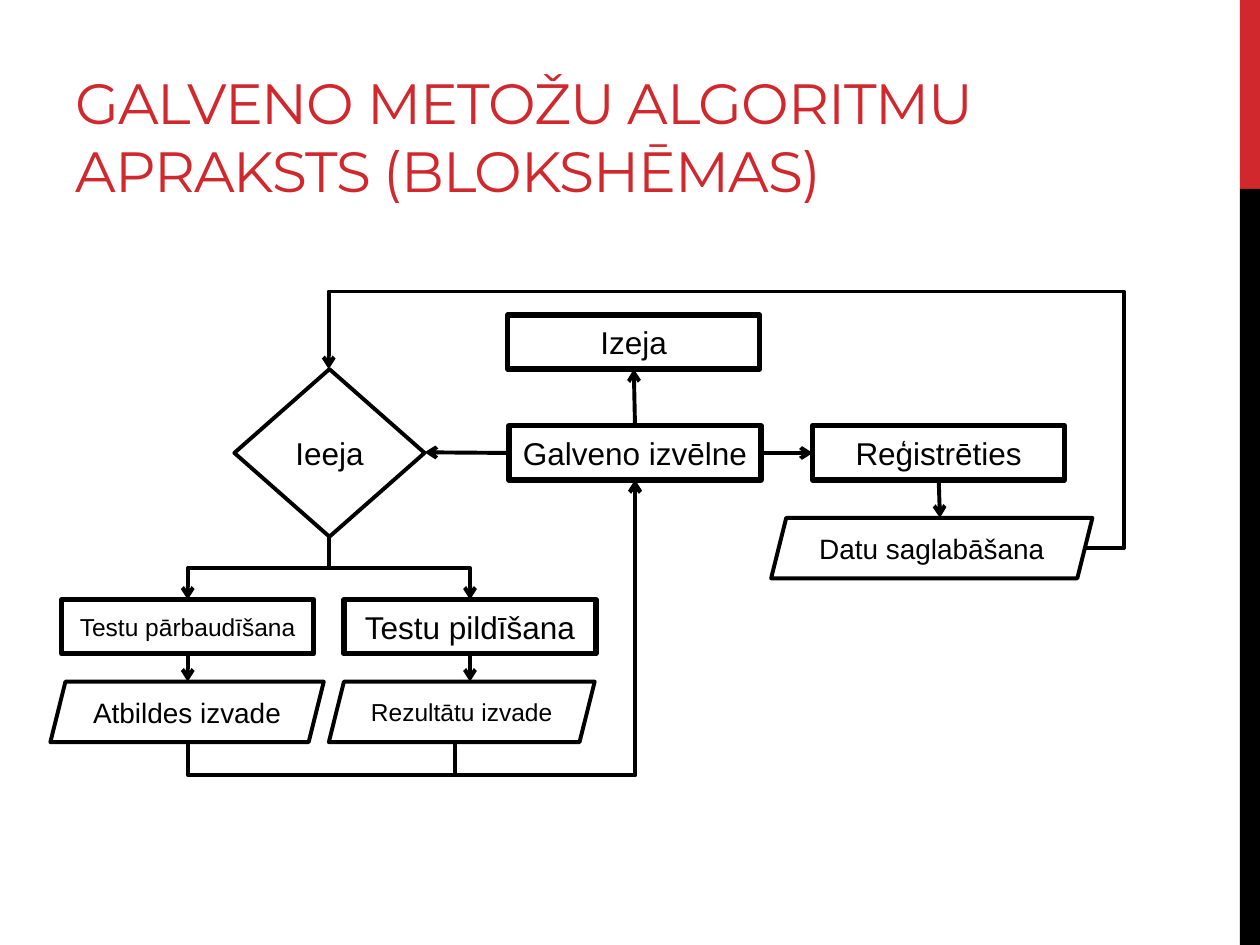
from dataclasses import dataclass

from lxml import etree
from pptx import Presentation
from pptx.dml.color import RGBColor
from pptx.enum.shapes import MSO_CONNECTOR, MSO_SHAPE
from pptx.enum.text import MSO_ANCHOR, MSO_AUTO_SIZE, PP_ALIGN
from pptx.oxml.ns import qn
from pptx.util import Inches, Pt

RECTANGLE = MSO_SHAPE.RECTANGLE
DIAMOND = MSO_SHAPE.DIAMOND
PARALLELOGRAM = MSO_SHAPE.PARALLELOGRAM
STRAIGHT = MSO_CONNECTOR.STRAIGHT
ELBOW = MSO_CONNECTOR.ELBOW
TOP, LEFT, BOTTOM, RIGHT = range(4)


@dataclass(frozen=True)
class Theme:
    red: RGBColor = RGBColor(0xD1, 0x28, 0x2E)
    black: RGBColor = RGBColor(0, 0, 0)
    white: RGBColor = RGBColor(0xFF, 0xFF, 0xFF)
    title_font: str = "Montserrat"
    body_font: str = "Arial"
    title_size: float = 32.4
    large: int = 18
    medium: int = 16
    small: int = 14
    thick: float = 3
    thin: float = 2.25


theme = Theme()
deck = Presentation()
deck.slide_width, deck.slide_height = Inches(10), Inches(7.5)
page = deck.slides.add_slide(deck.slide_layouts[5])


def add_box(kind, left, top, width, height, fill):
    box = page.shapes.add_shape(kind, Inches(left), Inches(top), Inches(width), Inches(height))
    box.shadow.inherit = False
    box.fill.solid()
    box.fill.fore_color.rgb = fill
    return box


def add_arrow(kind, start, end):
    arrow = page.shapes.add_connector(kind, *[Inches(value) for value in (*start, *end)])
    arrow.line.color.rgb = theme.black
    arrow.line.width = Pt(theme.thin)
    properties = arrow._element.spPr
    etree.SubElement(properties.find(qn("a:ln")), qn("a:tailEnd"), type="arrow")
    etree.SubElement(properties, qn("a:effectLst"))
    return arrow


for top, height, color in [(0, 1.5, theme.red), (1.5, 6, theme.black)]:
    add_box(RECTANGLE, 9.84, top, 0.16, height, color).line.fill.background()

title = page.shapes.title
title.left, title.top, title.width, title.height = [Inches(v) for v in (0.5, 0.17, 8.67, 1.5)]
frame = title.text_frame
frame.text = "GALVENO METOŽU ALGORITMU APRAKSTS (BLOKSHĒMAS)"
frame.word_wrap = True
frame.auto_size = MSO_AUTO_SIZE.NONE
frame.vertical_anchor = MSO_ANCHOR.BOTTOM
para = frame.paragraphs[0]
para.alignment = PP_ALIGN.LEFT
para.font.name = theme.title_font
para.font.size = Pt(theme.title_size)
para.font.color.rgb = theme.red
para.runs[0].font._element.set("spc", "-60")

nodes = {}
for text, kind, left, top, width, height, size in [
    ("Galveno izvēlne", RECTANGLE, 4.04, 3.38, 2, 0.43, theme.large),
    ("Izeja", RECTANGLE, 4.03, 2.5, 2, 0.43, theme.large),
    ("Reģistrēties", RECTANGLE, 6.45, 3.38, 2, 0.43, theme.large),
    ("Testu pildīšana", RECTANGLE, 2.73, 4.76, 2, 0.43, theme.large),
    ("Testu pārbaudīšana", RECTANGLE, 0.49, 4.76, 2, 0.43, theme.small),
    ("Ieeja", DIAMOND, 1.86, 2.93, 1.51, 1.33, theme.large),
    ("Datu saglabāšana", PARALLELOGRAM, 6.12, 4.11, 2.55, 0.48, theme.medium),
    ("Rezultātu izvade", PARALLELOGRAM, 2.61, 5.41, 2.11, 0.48, theme.small),
    ("Atbildes izvade", PARALLELOGRAM, 0.4, 5.41, 2.17, 0.48, theme.medium),
]:
    box = add_box(kind, left, top, width, height, theme.white)
    box.line.color.rgb = theme.black
    box.line.width = Pt(theme.thick if kind == RECTANGLE else theme.thin)
    frame = box.text_frame
    frame.text = text
    frame.word_wrap = True
    frame.vertical_anchor = MSO_ANCHOR.MIDDLE
    frame.margin_left = frame.margin_right = Inches(0.05)
    para = frame.paragraphs[0]
    para.alignment = PP_ALIGN.CENTER
    para.font.name = theme.body_font
    para.font.size = Pt(size)
    para.font.color.rgb = theme.black
    nodes[text] = box

for source, source_side, target, target_side, start, end in [
    ("Galveno izvēlne", TOP, "Izeja", BOTTOM, (5.04, 3.38), (5.03, 2.93)),
    ("Galveno izvēlne", LEFT, None, None, (4.04, 3.59), (3.37, 3.59)),
    ("Galveno izvēlne", RIGHT, "Reģistrēties", LEFT, (6.04, 3.59), (6.45, 3.59)),
    ("Reģistrēties", BOTTOM, None, None, (7.45, 3.81), (7.46, 4.11)),
    ("Testu pildīšana", BOTTOM, None, None, (3.73, 5.19), (3.73, 5.41)),
    ("Testu pārbaudīšana", BOTTOM, None, None, (1.49, 5.19), (1.49, 5.41)),
]:
    arrow = add_arrow(STRAIGHT, start, end)
    arrow.begin_connect(nodes[source], source_side)
    if target:
        arrow.end_connect(nodes[target], target_side)

for start, end, preset, rotation, flips, adjustments in [
    ((8.61, 4.35), (2.61, 2.93), "bentConnector4", 0, ("flipH", "flipV"), (-5200, 143400)),
    ((2.61, 4.26), (3.73, 4.76), "bentConnector3", 270, ("flipH",), (50000,)),
    ((2.61, 4.26), (1.49, 4.76), "bentConnector3", 90, (), (50000,)),
    ((3.61, 5.9), (5.04, 3.81), "bentConnector3", 90, ("flipH", "flipV"), (-12000,)),
    ((1.49, 5.9), (5.04, 3.81), "bentConnector3", 90, ("flipH", "flipV"), (-12000,)),
]:
    arrow = add_arrow(ELBOW, start, end)
    width, height = abs(end[0] - start[0]), abs(end[1] - start[1])
    if rotation:
        width, height = height, width
    arrow.left = Inches((start[0] + end[0] - width) / 2)
    arrow.top = Inches((start[1] + end[1] - height) / 2)
    arrow.width, arrow.height = Inches(width), Inches(height)
    transform = arrow._element.spPr.find(qn("a:xfrm"))
    transform.set("rot", str(rotation * 60000))
    for flip in ("flipH", "flipV"):
        transform.set(flip, "1" if flip in flips else "0")
    geometry = arrow._element.spPr.find(qn("a:prstGeom"))
    geometry.set("prst", preset)
    guides = geometry.find(qn("a:avLst"))
    for number, value in enumerate(adjustments, 1):
        etree.SubElement(guides, qn("a:gd"), name=f"adj{number}", fmla=f"val {value}")

deck.save("out.pptx")
